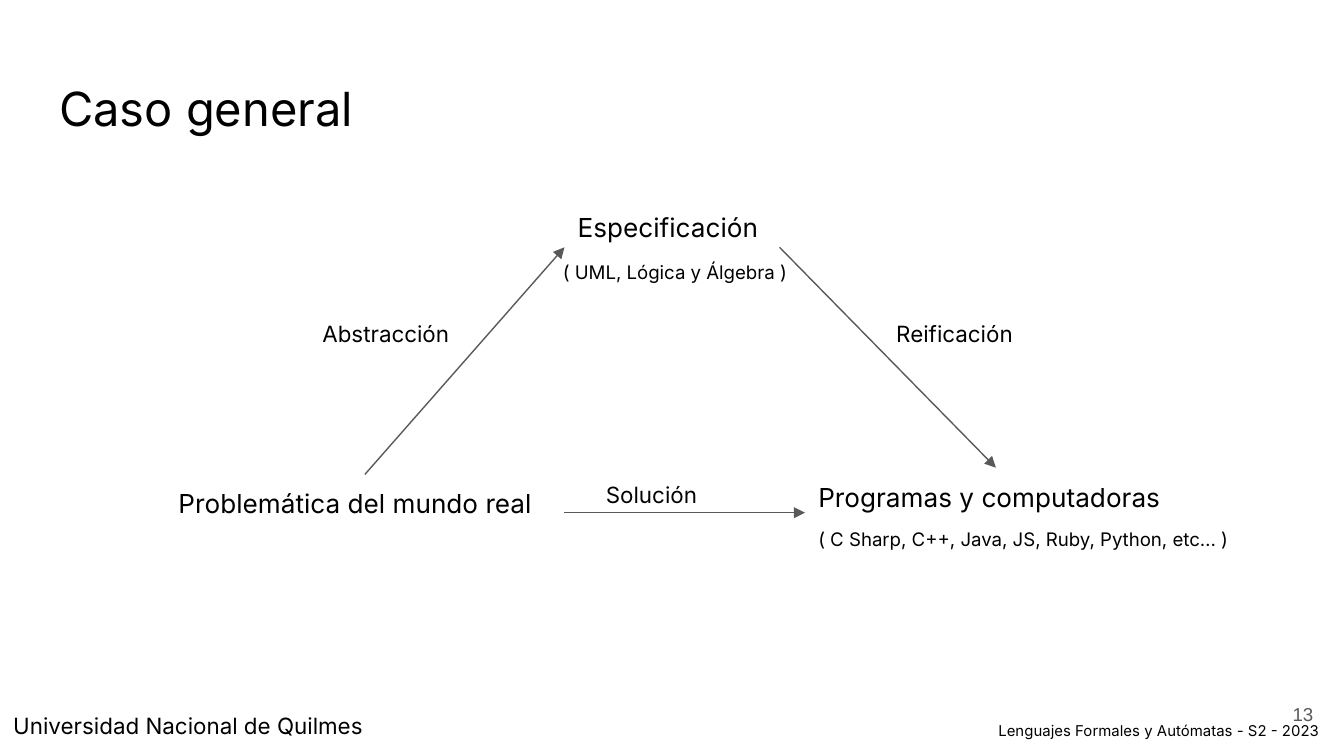
from dataclasses import dataclass

from pptx import Presentation
from pptx.dml.color import RGBColor
from pptx.enum.shapes import MSO_CONNECTOR
from pptx.enum.text import MSO_ANCHOR, MSO_AUTO_SIZE, PP_ALIGN
from pptx.oxml.ns import qn
from pptx.util import Inches, Pt
from lxml.etree import SubElement


@dataclass(frozen=True)
class Theme:
    text: RGBColor = RGBColor(0x00, 0x00, 0x00)
    muted: RGBColor = RGBColor(0x59, 0x59, 0x59)
    paper: RGBColor = RGBColor(0xFF, 0xFF, 0xFF)
    font: str = "Inter"
    number_font: str = "Arial"
    title: float = 25.2
    concept: float = 14
    label: float = 12
    detail: float = 10
    course: float = 8
    arrow: float = 0.75


THEME = Theme()
TOP, LEFT, RIGHT = 0, 1, 3  # connection sites of a rectangle


def write(shape, text, size, color=THEME.text, font=THEME.font,
          align=PP_ALIGN.LEFT, anchor=MSO_ANCHOR.TOP):
    frame = shape.text_frame
    frame.word_wrap = True
    frame.auto_size = MSO_AUTO_SIZE.NONE
    frame.vertical_anchor = anchor
    frame.margin_left = frame.margin_right = Inches(0.1)
    frame.margin_top = frame.margin_bottom = Inches(0.1)
    paragraph = frame.paragraphs[0]
    paragraph.alignment = align
    run = paragraph.add_run()
    run.text = text
    run.font.name = font
    run.font.size = Pt(size)
    run.font.color.rgb = color


def add_text(slide, box, place, text, size, **style):
    """Add text at a place measured from the top left corner of box."""
    left, top, width, height = place
    shape = slide.shapes.add_textbox(Inches(box[0] + left), Inches(box[1] + top),
                                     Inches(width), Inches(height))
    write(shape, text, size, **style)
    return shape


def add_arrow(slide, source, source_site, target, target_site):
    arrow = slide.shapes.add_connector(MSO_CONNECTOR.STRAIGHT, 0, 0, 0, 0)
    arrow.begin_connect(source, source_site)
    arrow.end_connect(target, target_site)
    arrow.line.color.rgb = THEME.muted
    arrow.line.width = Pt(THEME.arrow)
    SubElement(arrow.line._get_or_add_ln(), qn("a:tailEnd"), type="triangle")
    SubElement(arrow._element.spPr, qn("a:effectLst"))


def add_title(slide, box, text):
    title = slide.shapes.title
    title.left, title.top, title.width, title.height = map(Inches, box)
    write(title, text, THEME.title)


def add_triangle(slide, box):
    """Three concepts joined by arrows, with their labels and examples."""
    specification = add_text(slide, box, (2.97, 0, 1.6, 0.74),
                             "Especificación", THEME.concept)
    problem = add_text(slide, box, (0, 2.06, 2.97, 0.57),
                       "Problemática del mundo real", THEME.concept)
    programs = add_text(slide, box, (4.76, 2.01, 2.84, 0.67),
                        "Programas y computadoras", THEME.concept)

    add_arrow(slide, problem, TOP, specification, LEFT)
    add_arrow(slide, specification, RIGHT, programs, TOP)
    add_arrow(slide, problem, RIGHT, programs, LEFT)

    for text, size, left, top, width in (
        ("Abstracción", THEME.label, 1.07, 0.81, 1.19),
        ("Reificación", THEME.label, 5.34, 0.81, 1.19),
        ("Solución", THEME.label, 3.18, 2.01, 0.9),
        ("( UML, Lógica y Álgebra )", THEME.detail, 2.86, 0.37, 1.9),
        ("( C Sharp, C++, Java, JS, Ruby, Python, etc… )",
         THEME.detail, 4.76, 2.36, 3.26),
    ):
        add_text(slide, box, (left, top, width, 0.32), text, size)


def add_footer(slide, box, university, course, number):
    university_text = add_text(slide, box, (0, 0.12, 3.49, 0.41),
                               university, THEME.label)
    paragraph = university_text.text_frame.paragraphs[0]
    paragraph.line_spacing = 0.9
    paragraph.space_after = Pt(12)
    add_text(slide, box, (box[2] - 2.67, 0.17, 2.67, 0.32), course, THEME.course)
    add_text(slide, box, (box[2] - 0.73, 0, 0.6, 0.43), number, THEME.detail,
             color=THEME.muted, font=THEME.number_font,
             align=PP_ALIGN.RIGHT, anchor=MSO_ANCHOR.MIDDLE)


def main():
    deck = Presentation()
    deck.slide_width = Inches(10)
    deck.slide_height = deck.slide_width * 9 // 16
    slide = deck.slides.add_slide(deck.slide_layouts.get_by_name("Title Only"))
    slide.background.fill.solid()
    slide.background.fill.fore_color.rgb = THEME.paper

    add_title(slide, (0.34, 0.49, 9.32, 0.63), "Caso general")
    add_triangle(slide, (1.23, 1.47))
    add_footer(slide, (0, 5.1, 10, 0.52), "Universidad Nacional de Quilmes",
               "Lenguajes Formales y Autómatas - S2 - 2023", "13")
    deck.save("out.pptx")


if __name__ == "__main__":
    main()
